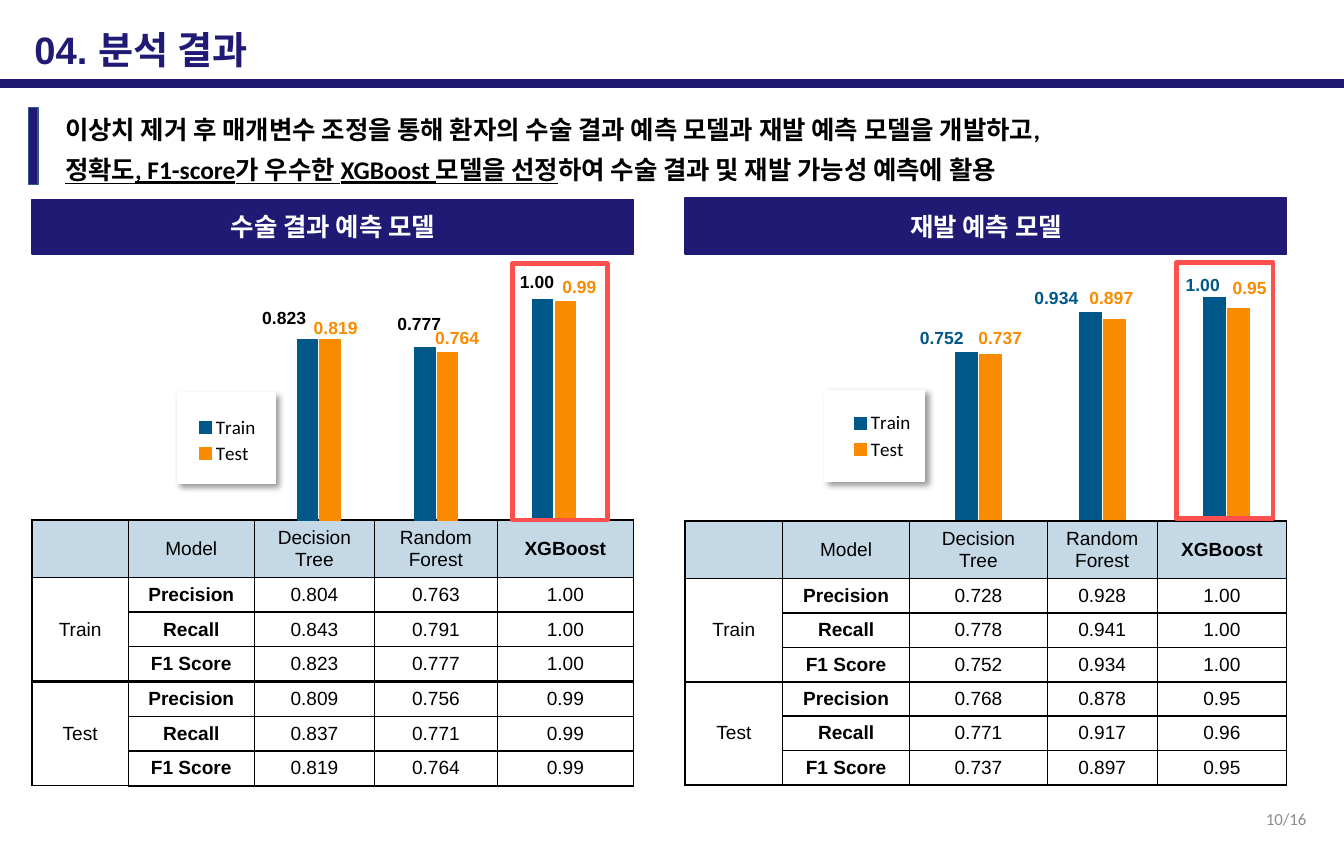
from dataclasses import dataclass

from lxml.etree import SubElement
from pptx import Presentation
from pptx.chart.data import CategoryChartData
from pptx.dml.color import RGBColor
from pptx.enum.chart import XL_CHART_TYPE, XL_LEGEND_POSITION
from pptx.enum.shapes import MSO_SHAPE
from pptx.enum.text import MSO_ANCHOR, MSO_AUTO_SIZE, PP_ALIGN
from pptx.oxml import parse_xml
from pptx.oxml.ns import nsdecls, qn
from pptx.util import Inches, Pt


@dataclass(frozen=True)
class Theme:
    navy: str = "201A74"
    accent_line: str = "325491"
    train: str = "00578A"
    test: str = "F88B00"
    highlight: str = "FF5050"
    header: str = "C4D9E5"
    black: str = "000000"
    white: str = "FFFFFF"
    grey: str = "8C8C8C"
    head_font: str = "Arial"
    body_font: str = "Calibri"
    title: float = 24
    lead: float = 16
    body: float = 12
    label: float = 11
    page: float = 10.6


def rgb(value):
    return RGBColor.from_string(value)


def write(tf, text, font="Arial", size=12, color="000000", bold=False,
          align=PP_ALIGN.LEFT, anchor=MSO_ANCHOR.TOP, gap=0):
    """Fill a text frame, one paragraph a line; text between | marks is underlined."""
    tf.vertical_anchor = anchor
    for i, line in enumerate(text.split("\n")):
        p = tf.paragraphs[0] if i == 0 else tf.add_paragraph()
        p.alignment = align
        if i and gap:
            p.space_before = Pt(gap)
        for n, part in enumerate(line.split("|")):
            if part:
                r = p.add_run()
                r.text = part
                r.font.name, r.font.size, r.font.bold = font, Pt(size), bold
                r.font.color.rgb = rgb(color)
                r.font.underline = n % 2 == 1


def set_layout(parent, x, y, w, h, inner=False):
    """Fix the place of a plot area or legend as fractions of its chart."""
    target = '<c:layoutTarget val="inner"/>' if inner else ""
    sizes = "".join(f'<c:{k} val="{v}"/>' for k, v in zip("xywh", (x, y, w, h)))
    layout = parse_xml(
        f'<c:layout {nsdecls("c")}><c:manualLayout>{target}<c:xMode val="edge"/>'
        f'<c:yMode val="edge"/>{sizes}</c:manualLayout></c:layout>')
    for old in parent.findall(qn("c:layout")):
        parent.remove(old)
    parent.insert(0 if inner else 1, layout)


class Deck:
    def __init__(self, theme):
        self.t = theme
        self.prs = Presentation()
        self.prs.slide_width, self.prs.slide_height = Inches(11.73), Inches(7.5)
        self.s = self.prs.slides.add_slide(self.prs.slide_layouts[5])

    def title(self, text, x, y, w, h):
        sp = self.s.shapes.title
        sp.left, sp.top, sp.width, sp.height = map(Inches, (x, y, w, h))
        sp.text_frame.auto_size = MSO_AUTO_SIZE.NONE
        write(sp.text_frame, text, self.t.head_font, self.t.title, self.t.navy, True,
              anchor=MSO_ANCHOR.MIDDLE)

    def text(self, text, x, y, w, h, wrap=True, **fmt):
        tf = self.s.shapes.add_textbox(*map(Inches, (x, y, w, h))).text_frame
        tf.word_wrap = wrap
        write(tf, text, **fmt)

    def rect(self, x, y, w, h, fill=None, line=None, width=1, shadow=False):
        sp = self.s.shapes.add_shape(MSO_SHAPE.RECTANGLE, *map(Inches, (x, y, w, h)))
        sp.shadow.inherit = False
        if fill:
            sp.fill.solid()
            sp.fill.fore_color.rgb = rgb(fill)
        else:
            sp.fill.background()
        sp.line.color.rgb = rgb(line or fill)
        sp.line.width = Pt(width)
        if shadow:
            effects = sp._element.spPr.find(qn("a:effectLst"))
            effects.append(parse_xml(
                f'<a:outerShdw {nsdecls("a")} blurRad="{Pt(4)}" dist="{Pt(3)}" dir="2700000">'
                '<a:srgbClr val="000000"><a:alpha val="40000"/></a:srgbClr></a:outerShdw>'))
        return sp

    def heading(self, text, x, y, w, h):
        sp = self.rect(x, y, w, h, self.t.navy)
        write(sp.text_frame, text, self.t.body_font, self.t.lead, self.t.white, True,
              PP_ALIGN.CENTER, MSO_ANCHOR.MIDDLE)

    def borders(self, cell, top, bottom):
        tcPr = cell._tc.get_or_add_tcPr()
        for i, (side, width) in enumerate(zip("LRTB", (1, 1, top, bottom))):
            ln = SubElement(tcPr, qn(f"a:ln{side}"), w=str(Pt(width)))
            fill = SubElement(ln, qn("a:solidFill"))
            SubElement(fill, qn("a:srgbClr"), val=self.t.black)
            tcPr.remove(ln)
            tcPr.insert(i, ln)

    def table(self, rows, x, y, h, widths, head_height=0.5):
        table = self.s.shapes.add_table(len(rows), len(widths), Inches(x), Inches(y),
                                        Inches(sum(widths)), Inches(h)).table
        for column, width in zip(table.columns, widths):
            column.width = Inches(width)
        for i, row in enumerate(rows):
            table.rows[i].height = Inches(
                (h - head_height) / (len(rows) - 1) if i else head_height)
            for j, value in enumerate(row):
                cell = table.cell(i, j)
                if i:
                    cell.fill.background()
                else:
                    cell.fill.solid()
                    cell.fill.fore_color.rgb = rgb(self.t.header)
                bold = value == "XGBoost" or (i > 0 and j == 1)
                write(cell.text_frame, value, self.t.head_font, self.t.body, self.t.black,
                      bold, PP_ALIGN.CENTER)
                cell.vertical_anchor = MSO_ANCHOR.MIDDLE
                self.borders(cell, 1.5 if i == 4 else 1, 1.5 if i in (3, 6) else 1)
        for first in (1, 4):
            table.cell(first, 0).merge(table.cell(first + 2, 0))

    def chart(self, train, test, x, y, w, h, plot_top, gap):
        data = CategoryChartData()
        data.categories = ["1", "2", "3"]
        data.add_series("Train", train)
        data.add_series("Test", test)
        chart = self.s.shapes.add_chart(XL_CHART_TYPE.COLUMN_CLUSTERED,
                                        *map(Inches, (x, y, w, h)), data).chart
        chart.has_title = False
        chart.font.name, chart.font.size = self.t.body_font, Pt(self.t.body)
        chart.font.color.rgb = rgb(self.t.black)
        chart.category_axis.visible = chart.value_axis.visible = False
        chart.value_axis.has_major_gridlines = False
        chart.value_axis.minimum_scale, chart.value_axis.maximum_scale = 0, 120
        plot = chart.plots[0]
        plot.vary_by_categories = False
        plot.gap_width, plot.overlap = gap, -11
        for series, color in zip(plot.series, (self.t.train, self.t.test)):
            series.format.fill.solid()
            series.format.fill.fore_color.rgb = rgb(color)
            series.format.line.color.rgb = rgb(color)
            series.format.line.width = Pt(0.75)
        chart.has_legend = True
        chart.legend.position = XL_LEGEND_POSITION.RIGHT
        chart.legend.include_in_layout = False
        set_layout(chart._chartSpace.chart.plotArea, 0.2, plot_top, 0.775, 0.952, inner=True)
        set_layout(chart.legend._element, 0.05, 0.57, 0.16, 0.2)


def model_rows(*scores):
    """Header row, then three metrics for each of the two data sets."""
    labels = [(d, m) for d in ("Train", "Test") for m in ("Precision", "Recall", "F1 Score")]
    return [("", "Model", "Decision\nTree", "Random\nForest", "XGBoost")] + [
        (d if m == "Precision" else "", m, *line.split())
        for (d, m), line in zip(labels, scores)]


def main():
    t = Theme()
    deck = Deck(t)
    deck.title("04. 분석 결과", 0.2, 0.18, 2.61, 0.5)
    deck.rect(0, 0.7, 11.73, 0.06, t.navy)
    deck.rect(0.25, 0.94, 0.08, 0.67, t.navy, t.accent_line)
    deck.text("이상치 제거 후 매개변수 조정을 통해 환자의 수술 결과 예측 모델과 재발 예측 모델을 개발하고,\n"
              "|정확도, F1-score가 우수한 XGBoost 모델을 선정|하여 수술 결과 및 재발 가능성 예측에 활용",
              0.47, 0.95, 10.5, 0.72, font=t.body_font, size=t.lead, color=t.black,
              bold=True, gap=6)

    panels = [
        dict(heading=("수술 결과 예측 모델", 0.28, 1.74, 5.25, 0.48),
             table=(model_rows("0.804 0.763 1.00", "0.843 0.791 1.00", "0.823 0.777 1.00",
                               "0.809 0.756 0.99", "0.837 0.771 0.99", "0.819 0.764 0.99"),
                    0.28, 4.54, 2.32, (0.84, 1.1, 1.05, 1.07, 1.19)),
             card=(1.55, 3.43, 0.85, 0.79),
             chart=((82, 78, 100), (82, 76, 99), 1.47, 2.22, 3.98, 2.43, 0.004, 369),
             train_color=t.black,
             train=[("0.823", 2.19, 2.63), ("0.777", 3.37, 2.68), ("1.00", 4.44, 2.32)],
             test=[("0.819", 2.64, 2.72), ("0.764", 3.7, 2.81), ("0.99", 4.81, 2.36)],
             best=(4.47, 2.3, 0.83, 2.24)),
        dict(heading=("재발 예측 모델", 5.98, 1.73, 5.25, 0.49),
             table=(model_rows("0.728 0.928 1.00", "0.778 0.941 1.00", "0.752 0.934 1.00",
                               "0.768 0.878 0.95", "0.771 0.917 0.96", "0.737 0.897 0.95"),
                    5.98, 4.55, 2.3, (0.85, 1.11, 1.2, 0.96, 1.13)),
             card=(7.2, 3.41, 0.87, 0.79),
             chart=((75, 93, 100), (74, 90, 95), 7.16, 2.17, 4.19, 2.45, 0.015, 364),
             train_color=t.train,
             train=[("0.752", 7.93, 2.81), ("0.934", 8.93, 2.46), ("1.00", 10.25, 2.34)],
             test=[("0.737", 8.44, 2.81), ("0.897", 9.41, 2.46), ("0.95", 10.66, 2.37)],
             best=(10.27, 2.29, 0.84, 2.24)),
    ]
    for panel in panels:
        deck.heading(*panel["heading"])
        deck.table(*panel["table"])
        deck.rect(*panel["card"], t.white, shadow=True)
        deck.chart(*panel["chart"])
        for labels, color in ((panel["train"], panel["train_color"]), (panel["test"], t.test)):
            for value, x, y in labels:
                deck.text(value, x, y, 0.7, 0.29, wrap=False, font=t.head_font,
                          size=t.label, color=color, bold=True)
        deck.rect(*panel["best"], line=t.highlight, width=3)

    deck.text("10/16", 8.86, 6.95, 2.64, 0.4, font=t.body_font, size=t.page, color=t.grey,
              align=PP_ALIGN.RIGHT, anchor=MSO_ANCHOR.MIDDLE)
    deck.prs.save("out.pptx")


if __name__ == "__main__":
    main()
